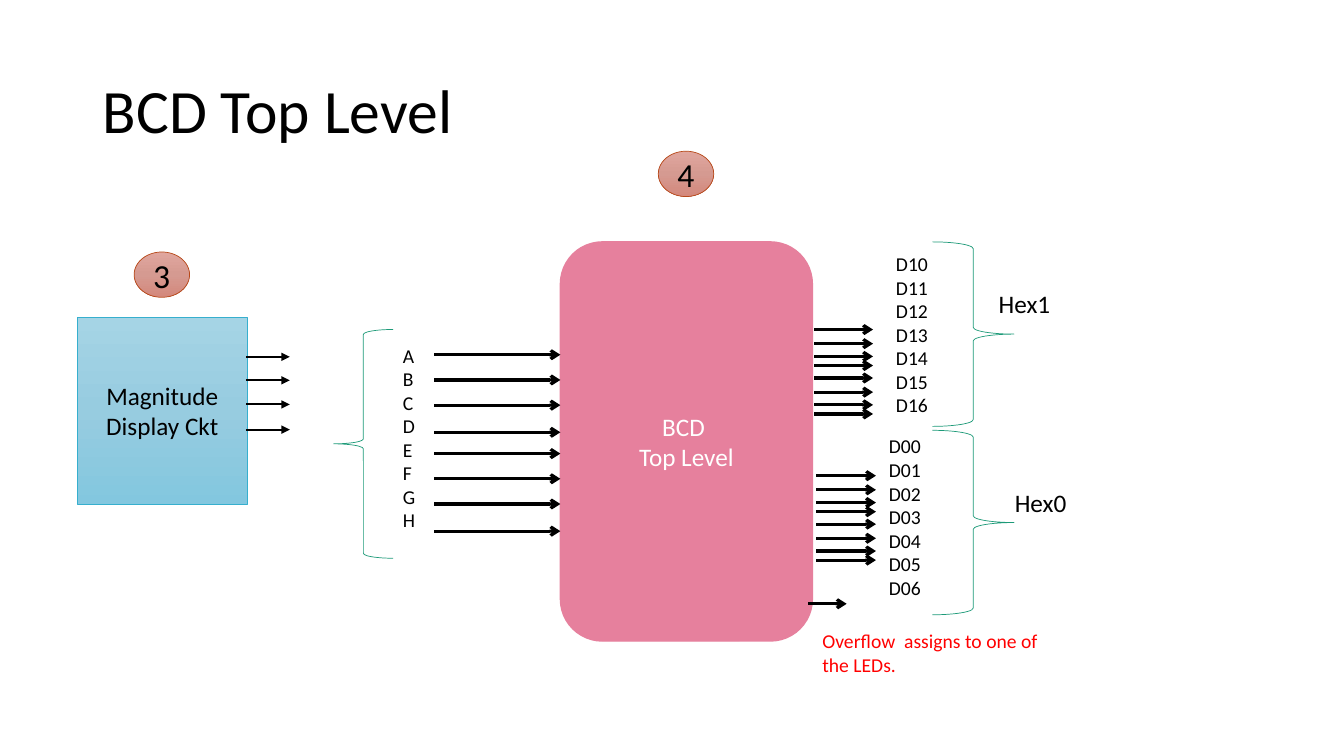
from copy import deepcopy
from dataclasses import dataclass
from typing import Any

from lxml import etree
from pptx import Presentation
from pptx.dml.color import RGBColor
from pptx.enum.shapes import MSO_CONNECTOR, MSO_SHAPE
from pptx.enum.text import MSO_ANCHOR, MSO_AUTO_SIZE, PP_ALIGN
from pptx.oxml.ns import qn
from pptx.shapes.autoshape import Shape
from pptx.util import Pt

STRAIGHT = MSO_CONNECTOR.STRAIGHT
RECTANGLE, ROUNDED, OVAL = MSO_SHAPE.RECTANGLE, MSO_SHAPE.ROUNDED_RECTANGLE, MSO_SHAPE.OVAL
LEFT_BRACE, RIGHT_BRACE = MSO_SHAPE.LEFT_BRACE, MSO_SHAPE.RIGHT_BRACE
MIDDLE, TOP = MSO_ANCHOR.MIDDLE, MSO_ANCHOR.TOP
LEFT, CENTER = PP_ALIGN.LEFT, PP_ALIGN.CENTER
FIT_TEXT, NO_FIT = MSO_AUTO_SIZE.SHAPE_TO_FIT_TEXT, MSO_AUTO_SIZE.NONE


@dataclass(frozen=True)
class Theme:
    font: str = "Calibri"
    ink: str = "000000"
    light: str = "FFFFFF"
    alert: str = "FF0000"
    bcd: str = "E6809D"
    brace: str = "1D9A78"
    display_edge: str = "36AFCE"
    badge_edge: str = "B74919"
    display_fill: tuple[str, ...] = ("A5D4E5", "97CCE0", "83C7DF")
    badge_fill: tuple[str, ...] = ("E0A69E", "D59A91", "D4887C")
    title_size: float = 44
    badge_size: float = 24
    body_size: float = 18
    signal_size: float = 14


THEME = Theme()


@dataclass(frozen=True)
class Box:
    left: float
    top: float
    width: float
    height: float

    def points(self) -> tuple[Pt, ...]:
        return tuple(Pt(v) for v in (self.left, self.top, self.width, self.height))


@dataclass(frozen=True)
class Block:
    kind: Any
    box: Box
    fill: tuple[str, ...]
    edge: str
    edge_width: float
    lines: tuple[str, ...] = ()
    color: str = THEME.ink


@dataclass(frozen=True)
class Label:
    box: Box
    lines: tuple[str, ...]
    size: float
    color: str = THEME.ink
    wrap: bool = False


@dataclass(frozen=True)
class Bus:
    """Parallel arrows sharing a start, a length and a head."""
    left: float
    top: float
    length: float
    offsets: tuple[float, ...]
    width: float = 2.25
    head: str = "arrow"


@dataclass(frozen=True)
class Badge:
    number: str
    left: float
    top: float


def apply_format(target: Any, values: dict[str, Any]) -> None:
    for name, value in values.items():
        setattr(target, name, value)


def write_lines(shape: Shape, lines: tuple[str, ...], size: float, color: str,
                align: PP_ALIGN, frame_format: dict[str, Any], spacing: float = 1.0) -> None:
    frame = shape.text_frame
    frame.text = "\n".join(lines)
    apply_format(frame, frame_format)
    for paragraph in frame.paragraphs:
        apply_format(paragraph, {"alignment": align, "line_spacing": spacing})
        for run in paragraph.runs:
            apply_format(run.font, {"name": THEME.font, "size": Pt(size)})
            run.font.color.rgb = RGBColor.from_string(color)


def paint_fill(shape: Shape, colors: tuple[str, ...]) -> None:
    fill = shape.fill
    if not colors:
        fill.background()
    elif len(colors) == 1:
        fill.solid()
        fill.fore_color.rgb = RGBColor.from_string(colors[0])
    else:
        fill.gradient()
        fill.gradient_angle = 270
        stop_list = shape._element.spPr.find(".//" + qn("a:gsLst"))
        stop_list.insert(1, deepcopy(stop_list[0]))
        for index, (stop, color) in enumerate(zip(fill.gradient_stops, colors)):
            stop.color.rgb = RGBColor.from_string(color)
            stop.position = index / (len(colors) - 1)


def draw_block(shapes: Any, block: Block) -> None:
    shape = shapes.add_shape(block.kind, *block.box.points())
    shape.shadow.inherit = False
    paint_fill(shape, block.fill)
    shape.line.color.rgb = RGBColor.from_string(block.edge)
    shape.line.width = Pt(block.edge_width)
    if block.lines:
        write_lines(shape, block.lines, THEME.body_size, block.color, CENTER,
                    {"word_wrap": True, "vertical_anchor": MIDDLE})


def draw_label(shapes: Any, label: Label) -> None:
    text_box = shapes.add_textbox(*label.box.points())
    write_lines(text_box, label.lines, label.size, label.color, LEFT,
                {"word_wrap": label.wrap, "auto_size": FIT_TEXT, "vertical_anchor": TOP})


def draw_bus(shapes: Any, bus: Bus) -> None:
    for offset in bus.offsets:
        y = Pt(bus.top + offset)
        wire = shapes.add_connector(STRAIGHT, Pt(bus.left), y, Pt(bus.left + bus.length), y)
        wire.line.color.rgb = RGBColor.from_string(THEME.ink)
        wire.line.width = Pt(bus.width)
        properties = wire._element.spPr
        etree.SubElement(properties.find(qn("a:ln")), qn("a:tailEnd"), type=bus.head)
        etree.SubElement(properties, qn("a:effectLst"))


def draw_badge(shapes: Any, badge: Badge) -> None:
    members = shapes.add_group_shape().shapes
    draw_block(members, Block(OVAL, Box(badge.left, badge.top, 39.6, 32.4),
                              THEME.badge_fill, THEME.badge_edge, 0.5))
    draw_label(members, Label(Box(badge.left + 6.5, badge.top - 1.4, 18.7, 36.7),
                              (badge.number,), THEME.badge_size, wrap=True))


def two_banks(bank: tuple[float, ...], step: float) -> tuple[float, ...]:
    return tuple(start + offset for start in (0, step) for offset in bank)


# Content of the diagram
INPUT_ROWS = two_banks((0, 18, 36, 55.4), 70.6)
OUTPUT_ROWS = two_banks((0, 10.1, 19.2, 25.7), 34.6)

BLOCKS = (
    Block(ROUNDED, Box(400.3, 172.8, 180, 285.1), (THEME.bcd,), THEME.bcd, 1,
          ("BCD ", "Top Level"), THEME.light),
    Block(RIGHT_BRACE, Box(666, 172.8, 58.3, 131.8), (), THEME.brace, 0.5),
    Block(RIGHT_BRACE, Box(666, 307.4, 58.3, 131.8), (), THEME.brace, 0.5),
    Block(LEFT_BRACE, Box(238.3, 235.4, 42.5, 163.4), (), THEME.brace, 0.5),
    Block(RECTANGLE, Box(55.4, 226.8, 121, 133.2), THEME.display_fill, THEME.display_edge, 0.5,
          ("Magnitude Display Ckt",)),
)
BUSES = (
    Bus(310.3, 253.4, 90, INPUT_ROWS),
    Bus(581.8, 235.4, 41.8, OUTPUT_ROWS),
    Bus(583.2, 339.8, 42.5, OUTPUT_ROWS),
    Bus(577.4, 431.3, 27.4, (0,)),
    Bus(176, 254.9, 31, (0, 16.8, 34, 52), 1.5, "triangle"),
)
LABELS = (
    Label(Box(280.8, 241.9, 23.8, 143.3), tuple("ABCDEFGH"), THEME.signal_size),
    Label(Box(706.3, 202.3, 51.8, 28.8), ("Hex1",), THEME.body_size),
    Label(Box(717.8, 344.2, 51.8, 28.8), ("Hex0",), THEME.body_size),
    Label(Box(627.8, 306.7, 37.4, 143.3), tuple(f"D0{i}" for i in range(7)), THEME.signal_size),
    Label(Box(632.9, 176.4, 37.4, 143.3), tuple(f"D1{i}" for i in range(7)), THEME.signal_size),
    Label(Box(580.3, 445.7, 168.5, 41), ("Overflow  assigns to one of the LEDs.",),
          THEME.signal_size, THEME.alert, True),
)
BADGES = (Badge("4", 470.2, 108), Badge("3", 95.8, 180))


def main() -> None:
    deck = Presentation()
    apply_format(deck, {"slide_width": Pt(960), "slide_height": Pt(540)})
    slide = deck.slides.add_slide(deck.slide_layouts[5])

    # Title
    title = slide.shapes.title
    title_box = Box(66.2, 28.8, 828, 104.4).points()
    apply_format(title, dict(zip(("left", "top", "width", "height"), title_box)))
    write_lines(title, ("BCD Top Level",), THEME.title_size, THEME.ink, LEFT,
                {"word_wrap": True, "auto_size": NO_FIT, "vertical_anchor": MIDDLE}, 0.9)

    # Blocks, wires, labels and step numbers
    for draw, parts in ((draw_block, BLOCKS), (draw_bus, BUSES),
                        (draw_label, LABELS), (draw_badge, BADGES)):
        for part in parts:
            draw(slide.shapes, part)

    deck.save("out.pptx")


if __name__ == "__main__":
    main()
